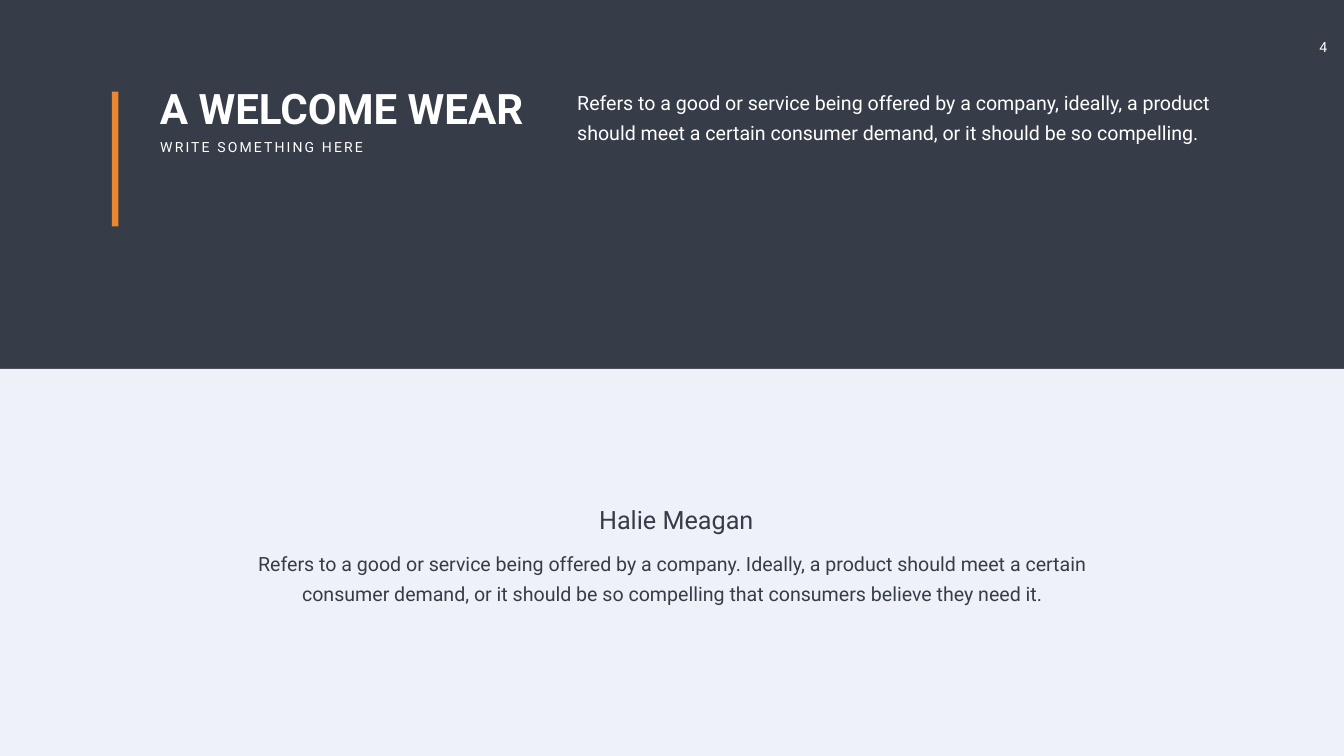
from pptx import Presentation
from pptx.dml.color import RGBColor
from pptx.enum.shapes import MSO_SHAPE
from pptx.enum.text import MSO_ANCHOR, MSO_AUTO_SIZE, PP_ALIGN
from pptx.util import Inches, Pt

COLORS = {"dark": "363D48", "light": "EFF1F8", "accent": "EA8831", "white": "FFFFFF"}
FONT = "Roboto"
WIDTH, HEIGHT = 26.66, 15
PANEL_TOP = 7.32
BODY = {"size": 28, "leading": 43, "inset": (0.24, 0.12)}


class Deck:
    """Holds the slide style and draws each kind of element on the current slide."""

    def __init__(self):
        self.prs = Presentation()
        self.prs.slide_width, self.prs.slide_height = Inches(WIDTH), Inches(HEIGHT)
        self.s = self.prs.slides.add_slide(self.prs.slide_layouts[5])

    def color(self, name):
        return RGBColor.from_string(COLORS[name])

    def background(self, name):
        fill = self.s.background.fill
        fill.solid()
        fill.fore_color.rgb = self.color(name)

    def rect(self, box, fill):
        sp = self.s.shapes.add_shape(MSO_SHAPE.RECTANGLE, *map(Inches, box))
        sp.shadow.inherit = False
        sp.fill.solid()
        sp.fill.fore_color.rgb = self.color(fill)
        sp.line.fill.background()

    def title(self, box, text, **style):
        sp = self.s.shapes.title
        sp.left, sp.top, sp.width, sp.height = map(Inches, box)
        self.set_text(sp, text, **style)

    def text(self, box, text, **style):
        self.set_text(self.s.shapes.add_textbox(*map(Inches, box)), text, **style)

    def set_text(self, sp, text, size, color="white", bold=False, align=PP_ALIGN.LEFT,
                 leading=None, spacing=None, inset=(0.1, 0.05), wrap=True):
        tf = sp.text_frame
        x, y = map(Inches, inset)
        frame = {"word_wrap": wrap, "auto_size": MSO_AUTO_SIZE.NONE,
                 "vertical_anchor": MSO_ANCHOR.TOP, "margin_left": x,
                 "margin_right": x, "margin_top": y, "margin_bottom": y}
        for name, value in frame.items():
            setattr(tf, name, value)
        p = tf.paragraphs[0]
        p.alignment = align
        p.space_before = Pt(0)
        if leading:
            p.line_spacing = Pt(leading)
        r = p.add_run()
        r.text = text
        for name, value in {"name": FONT, "size": Pt(size), "bold": bold}.items():
            setattr(r.font, name, value)
        r.font.color.rgb = self.color(color)
        if spacing:
            r._r.get_or_add_rPr().set("spc", str(spacing * 100))


def main():
    deck = Deck()
    deck.background("dark")
    deck.rect((0, PANEL_TOP, WIDTH, HEIGHT - PANEL_TOP), "light")
    deck.rect((2.22, 1.82, 0.13, 2.67), "accent")
    deck.title((3.07, 1.59, 8.34, 1.11), "A WELCOME WEAR", size=60, bold=True)
    deck.text((3.08, 2.7, 4.35, 0.44), "WRITE SOMETHING HERE",
              size=20, spacing=3, wrap=False)
    deck.text((11.21, 1.56, 13.23, 1.39),
              "Refers to a good or service being offered by a company, ideally, a product "
              "should meet a certain consumer demand, or it should be so compelling.", **BODY)
    deck.text((10.58, 9.95, 5.67, 0.71), "Halie Meagan",
              size=36, color="dark", align=PP_ALIGN.CENTER)
    deck.text((4.77, 10.7, 17.12, 1.39),
              "Refers to a good or service being offered by a company. Ideally, a product "
              "should meet a certain consumer demand, or it should be so compelling that "
              "consumers believe they need it.",
              color="dark", align=PP_ALIGN.CENTER, **BODY)
    deck.text((25.87, 0.67, 0.76, 0.54), "4", size=20, align=PP_ALIGN.CENTER,
              inset=(0.2, 0.1))
    deck.prs.save("out.pptx")


if __name__ == "__main__":
    main()
